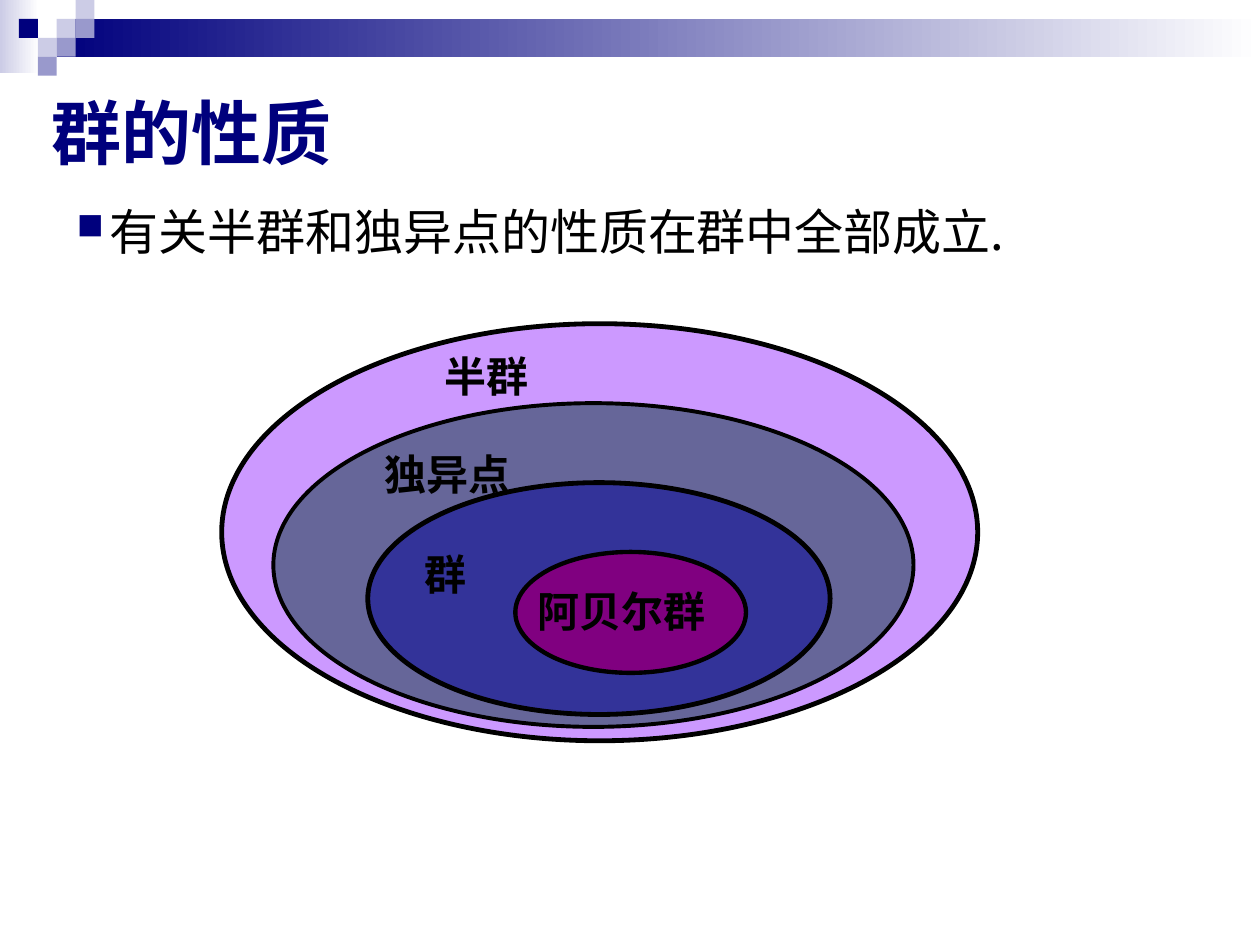
from dataclasses import dataclass

from lxml import etree
from pptx import Presentation
from pptx.dml.color import RGBColor
from pptx.enum import shapes, text
from pptx.oxml import ns
from pptx.util import Pt


@dataclass(frozen=True)
class Theme:
    navy: str = "00007D"
    violet: str = "9999CC"
    pale: str = "CCCCE6"
    white: str = "FFFFFF"
    black: str = "000000"
    title_size: int = 40
    body_size: int = 28
    label_size: int = 24
    title_font: str = "Arial"
    body_font: str = "Noto Sans CJK SC"
    label_font: str = "Times New Roman"


THEME = Theme()
TITLE = "群的性质"
STATEMENT = "有关半群和独异点的性质在群中全部成立."

TILE = 10.8
BANDS = [
    ((0, 0, 22.3, 41.8), THEME.pale),
    ((32.4, 10.8, 687.6, 21.6), THEME.navy),
]
TILES = [
    (3, 1, THEME.pale),
    (4, 0, THEME.pale),
    (4, 1, THEME.violet),
    (2, 2, THEME.pale),
    (1, 1, THEME.navy),
    (3, 2, THEME.violet),
    (2, 3, THEME.violet),
]
SETS = [
    ((126.7, 185, 432, 238.3), "CC99FF", 2.75),
    ((156.2, 230.4, 365.8, 185), "666699", 2.25),
    ((210.2, 275.8, 264.2, 132.5), "333399", 2.75),
    ((294.5, 315.4, 131.8, 69.1), "800080", 2.5),
]
LABELS = [
    ("阿贝尔群", (300.3, 331.2, 162, 36)),
    ("半群", (247, 196.6, 77.8, 36)),
    ("独异点", (212.4, 252.7, 90, 36)),
    ("群", (235.4, 309.6, 59.8, 36)),
]


def color(value):
    return RGBColor.from_string(value)


def add_figure(page, kind, frame, fill=None, line=None):
    figure = page.shapes.add_shape(kind, *map(Pt, frame))
    figure.shadow.inherit = False
    if fill:
        figure.fill.solid()
        figure.fill.fore_color.rgb = color(fill)
    if line:
        figure.line.color.rgb = color(THEME.black)
        figure.line.width = Pt(line)
    else:
        figure.line.fill.background()
    return figure


def add_band(page, frame, start):
    band = add_figure(page, shapes.MSO_SHAPE.RECTANGLE, frame)
    band.fill.gradient()
    band.fill.gradient_angle = 0
    for stop, position, value in zip(
        band.fill.gradient_stops, (0, 1), (start, THEME.white)
    ):
        stop.position = position
        stop.color.rgb = color(value)


def add_text(page, words, frame, size, font, ink, bold=True):
    box = page.shapes.add_textbox(*map(Pt, frame))
    box.text_frame.word_wrap = True
    box.text_frame.vertical_anchor = text.MSO_ANCHOR.MIDDLE
    para = box.text_frame.paragraphs[0]
    para.text = words
    para.font.size = Pt(size)
    para.font.name = font
    para.font.bold = bold
    para.font.color.rgb = color(ink)
    return para


def add_bullet(para, indent):
    properties = para._p.get_or_add_pPr()
    properties.set("marL", str(Pt(indent)))
    properties.set("indent", str(-Pt(indent)))
    tint = etree.Element(ns.qn("a:buClr"))
    etree.SubElement(tint, ns.qn("a:srgbClr"), val=THEME.navy)
    scale = etree.Element(ns.qn("a:buSzPct"), val="75000")
    mark = etree.Element(ns.qn("a:buChar"), char="■")
    for place, item in enumerate((tint, scale, mark)):
        properties.insert(place, item)


def main():
    deck = Presentation()
    deck.slide_width, deck.slide_height = Pt(720), Pt(540)
    page = deck.slides.add_slide(deck.slide_layouts[6])

    for frame, start in BANDS:
        add_band(page, frame, start)
    for column, row, fill in TILES:
        frame = (column * TILE, row * TILE, TILE, TILE)
        add_figure(page, shapes.MSO_SHAPE.RECTANGLE, frame, fill)

    statement = add_text(
        page, STATEMENT, (36.7, 111.6, 635.8, 41),
        THEME.body_size, THEME.body_font, THEME.black, bold=False,
    )
    add_bullet(statement, 19)

    for frame, fill, line in SETS:
        add_figure(page, shapes.MSO_SHAPE.OVAL, frame, fill, line)
    for words, frame in LABELS:
        add_text(page, words, frame, THEME.label_size, THEME.label_font, THEME.black)

    add_text(
        page, TITLE, (22.3, 34.6, 648, 80.6),
        THEME.title_size, THEME.title_font, THEME.navy,
    )
    deck.save("out.pptx")


if __name__ == "__main__":
    main()
